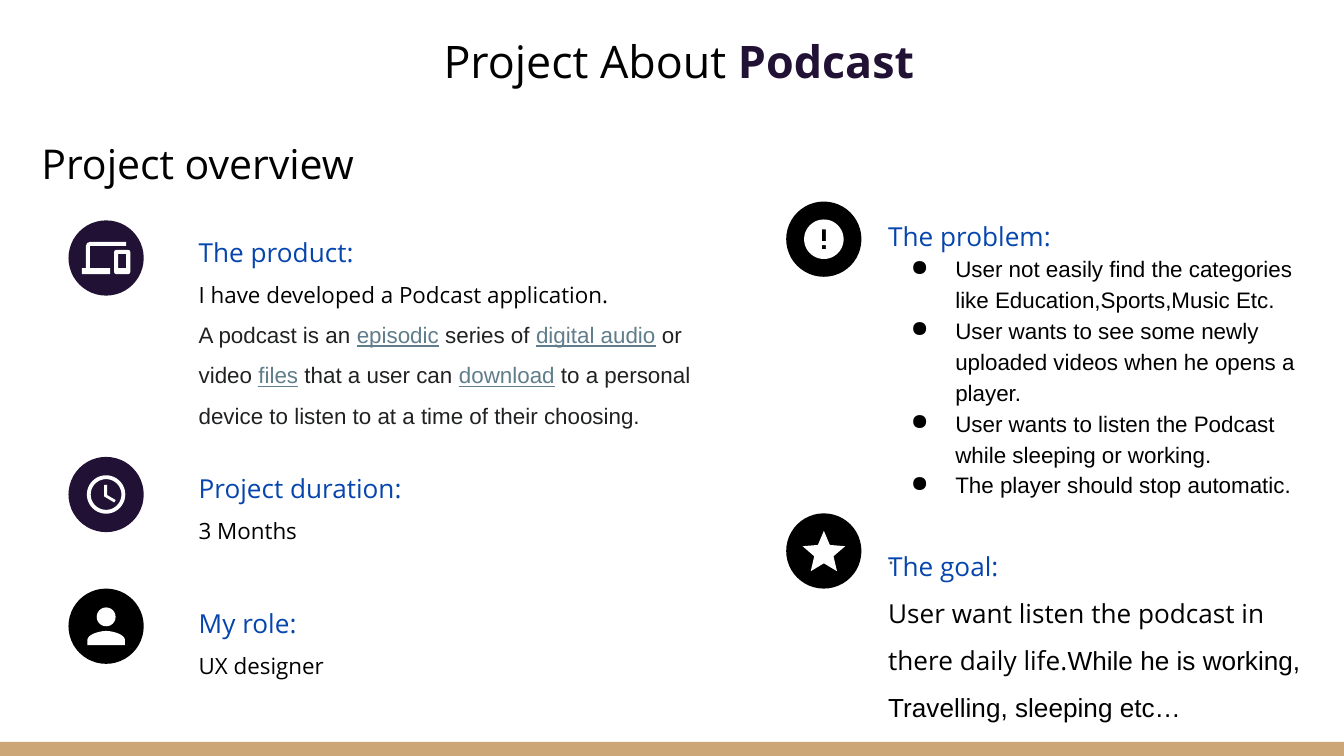
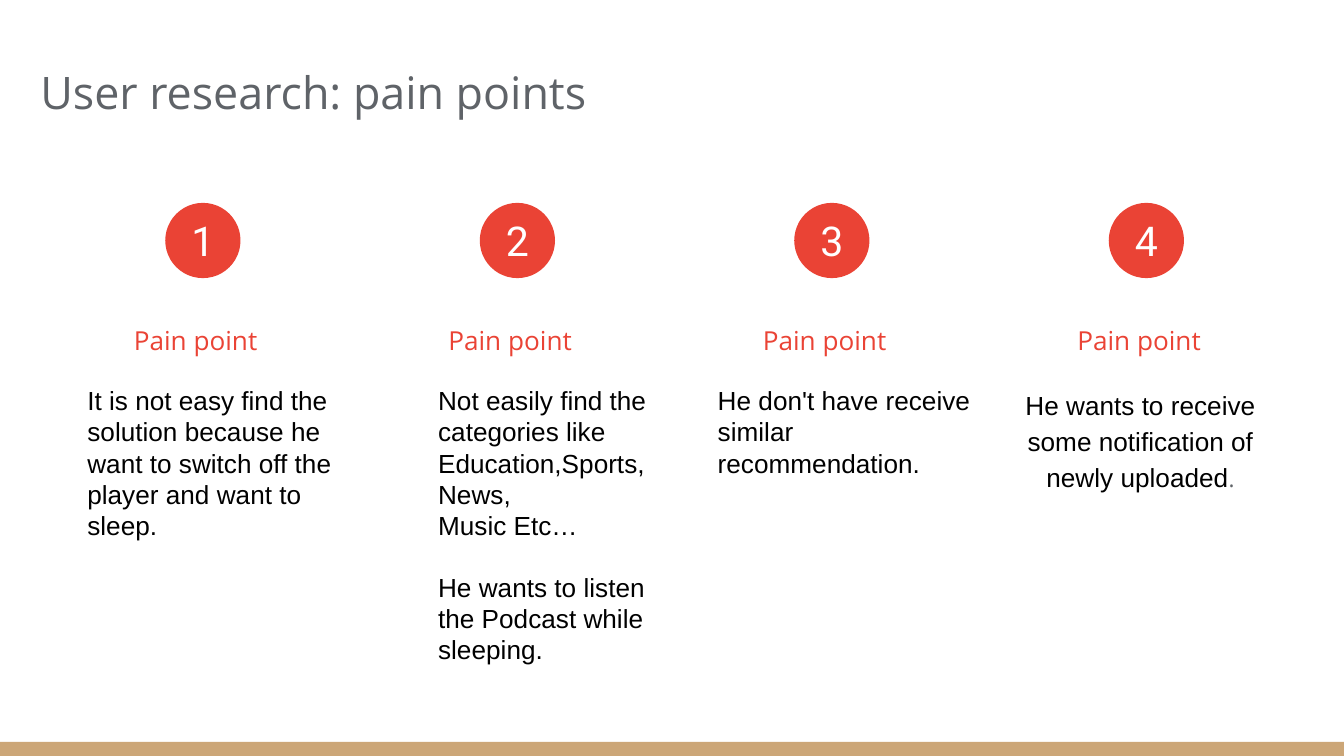
from dataclasses import dataclass
from math import cos, pi, sin

from lxml.etree import SubElement
from pptx import Presentation
from pptx.dml.color import RGBColor
from pptx.enum.shapes import MSO_SHAPE
from pptx.enum.text import MSO_ANCHOR, MSO_AUTO_SIZE, PP_ALIGN
from pptx.oxml.ns import qn
from pptx.util import Emu, Pt

WIDTH, BAND_TOP, INSET = 1000, 552, 10
HEIGHT = WIDTH * 9 / 16
BADGE = 56

BLACK = RGBColor(0x00, 0x00, 0x00)
WHITE = RGBColor(0xFF, 0xFF, 0xFF)
TAN = RGBColor(0xCC, 0xA6, 0x77)
PURPLE = RGBColor(0x21, 0x11, 0x34)
BLUE = RGBColor(0x06, 0x45, 0xAD)
INK = RGBColor(0x20, 0x21, 0x22)
LINK = RGBColor(0x60, 0x7D, 0x8B)
GRAY = RGBColor(0x5F, 0x63, 0x68)
RED = RGBColor(0xEA, 0x43, 0x35)

SANS, BODY, DIGITS = "Open Sans", "Arial", "Roboto"


@dataclass
class Run:
    text: str
    size: int = 12
    font: str = BODY
    color: RGBColor = BLACK
    bold: bool = False
    underline: bool = False


@dataclass
class Para:
    runs: list
    spacing: float = 1
    before: int = 0
    align: PP_ALIGN = PP_ALIGN.LEFT
    indent: int = 0
    bullet: bool = False


def heading(text):
    return Para([Run(text, 14, SANS, BLUE)], 1.5)


def plain(text):
    return Para([Run(text, 12, SANS)], 1.5)


def ink(text):
    return Run(text, color=INK)


def link(text):
    return Run(text, color=LINK, underline=True)


def bullet(text):
    return Para([Run(text)], 1.15, indent=50, bullet=True)


def circle(cx, cy, radius, steps=48):
    return [(cx + radius * cos(2 * pi * i / steps), cy + radius * sin(2 * pi * i / steps))
            for i in range(steps)]


def curve(a, b, c, d, steps=12):
    """Points on a cubic Bezier curve."""
    return [tuple((1 - t) ** 3 * p + 3 * (1 - t) ** 2 * t * q + 3 * (1 - t) * t * t * u + t ** 3 * v
                  for p, q, u, v in zip(a, b, c, d))
            for t in (i / steps for i in range(steps + 1))]


def box(left, top, right, bottom):
    return [(left, top), (right, top), (right, bottom), (left, bottom)]


# Icons on a 24-unit grid: (px per unit, outlines)
DEVICES = (1.5, [
    [(4, 6), (22, 6), (22, 4), (4, 4), (2.6, 4.6), (2, 6), (2, 17), (0, 17), (0, 20),
     (14, 20), (14, 17), (4, 17)],
    [(17, 8), (23, 8), (23.7, 8.3), (24, 9), (24, 19), (23.7, 19.7), (23, 20),
     (17, 20), (16.3, 19.7), (16, 19), (16, 9), (16.3, 8.3)],
    box(18, 10, 22, 17)])
CLOCK = (1.43, [
    circle(12, 12, 10), circle(12, 12, 8),
    [(11, 7), (11, 13), (16.25, 16.15), (17, 14.92), (12.5, 12.25), (12.5, 7)]])
PERSON = (1.75, [
    circle(12, 8, 4),
    curve((12, 14), (9.33, 14), (4, 15.34), (4, 18)) + [(4, 20), (20, 20)]
    + curve((20, 18), (20, 15.34), (14.67, 14), (12, 14))])
ALERT = (1.47, [circle(12, 12, 10), box(11, 7, 13, 13), box(11, 15, 13, 17)])
STAR = (1.58, [
    [(12, 17.27), (18.18, 21), (16.54, 13.97), (22, 9.24), (14.81, 8.63), (12, 2),
     (9.19, 8.63), (2, 9.24), (7.46, 13.97), (5.82, 21)]])

OVERVIEW_TITLE = [Para([Run("Project About ", 24, SANS),
                        Run("Podcast", 24, SANS, PURPLE, bold=True)])]
OVERVIEW_SUBTITLE = [Para([Run("Project overview", 22, SANS)])]

# (badge left, badge top, badge colour, icon, text box, paragraphs)
OVERVIEW = [
    (51, 164, PURPLE, DEVICES, (138, 154, 400, 176), [
        heading("The product:"),
        plain("I have developed a Podcast application."),
        Para([ink("A podcast is an "), link("episodic"), ink(" series of "),
              link("digital audio"), ink(" or video "), link("files"),
              ink(" that a user can "), link("download"),
              ink(" to a personal device to listen to at a time of their choosing.")], 1.5)]),
    (51, 340, PURPLE, CLOCK, (138, 330, 246, 76),
     [heading("Project duration:"), plain("3 Months")]),
    (51, 438, BLACK, PERSON, (138, 430, 131, 76),
     [heading("My role:"), plain("UX designer")]),
    (585, 150, BLACK, ALERT, (651, 142, 337, 226), [
        heading("The problem:"),
        bullet("User not easily find the categories like Education,Sports,Music Etc."),
        bullet("User wants to see some newly uploaded videos when he opens a player."),
        bullet("User wants to listen the Podcast while sleeping or working."),
        bullet("The player should stop automatic."),
        Para([Run(".", 12, SANS, GRAY)], 1.5, before=16)]),
    (585, 382, BLACK, STAR, (651, 388, 328, 150), [
        heading("The goal:"),
        Para([Run("User want listen the podcast in there daily life.", 14, SANS),
              Run("While he is working, Travelling, sleeping etc…", 14)], 1.5)]),
]

PAIN_TITLE = [Para([Run("User research: pain points", 24, SANS, GRAY)])]
PAIN_HEADING = [Para([Run("Pain point", 14, SANS, RED)], 1.5, align=PP_ALIGN.CENTER)]
PAIN_PITCH = 234

# (text box, paragraphs)
PAIN_POINTS = [
    ((65, 276, 205, 162), [
        Para([Run("It is not easy find the solution because he want to switch off "
                  "the player and want to sleep.", 14)])]),
    ((276, 276, 218, 232), [
        Para([Run("Not easily find the categories like Education,Sports,News,", 14)], indent=50),
        Para([Run("Music Etc…", 14)], indent=50),
        Para([Run("He wants to listen the Podcast while sleeping.", 14)], before=16, indent=50)]),
    ((534, 276, 205, 107), [
        Para([Run("He don't have receive similar recommendation.", 14)])]),
    ((751, 276, 205, 98), [
        Para([Run("He wants to receive some notification of newly uploaded", 14),
              Run(".", 12, SANS, GRAY)], 1.15, align=PP_ALIGN.CENTER)]),
]


def px(n):
    return Emu(round(n * 9144))


def place(sp, frame):
    sp.left, sp.top, sp.width, sp.height = map(px, frame)


def paint(sp, color):
    sp.shadow.inherit = False
    sp.fill.solid()
    sp.fill.fore_color.rgb = color
    sp.line.fill.background()


def write(tf, paras, inset=INSET, left=INSET, anchor=MSO_ANCHOR.TOP):
    tf.word_wrap = True
    tf.auto_size = MSO_AUTO_SIZE.NONE
    tf.vertical_anchor = anchor
    tf.margin_left = px(left)
    tf.margin_top = tf.margin_right = tf.margin_bottom = px(inset)
    for i, para in enumerate(paras):
        p = tf.paragraphs[0] if i == 0 else tf.add_paragraph()
        p.alignment = para.align
        p.line_spacing = para.spacing
        p.space_before = Pt(para.before)
        if para.indent:
            indent_paragraph(p, para)
        for item in para.runs:
            r = p.add_run()
            r.text = item.text
            r.font.size = Pt(item.size)
            r.font.name = item.font
            r.font.color.rgb = item.color
            r.font.bold = item.bold
            r.font.underline = item.underline


def indent_paragraph(p, para):
    pPr = p._p.get_or_add_pPr()
    pPr.set("marL", str(px(para.indent)))
    pPr.set("indent", str(px(-33 if para.bullet else 0)))
    if para.bullet:
        color = SubElement(pPr, qn("a:buClr"))
        SubElement(color, qn("a:srgbClr")).set("val", str(BLACK))
        SubElement(pPr, qn("a:buChar")).set("char", "●")


def add_text(slide, frame, paras, **options):
    write(slide.shapes.add_textbox(*map(px, frame)).text_frame, paras, **options)


def add_badge(slide, left, top, color):
    sp = slide.shapes.add_shape(MSO_SHAPE.OVAL, *map(px, (left, top, BADGE, BADGE)))
    paint(sp, color)
    return sp


def add_icon(slide, left, top, icon):
    """Draw an icon centred on the badge at left, top."""
    unit, outlines = icon
    xs, ys = zip(*(point for outline in outlines for point in outline))
    dx = left + BADGE / 2 - unit * (min(xs) + max(xs)) / 2
    dy = top + BADGE / 2 - unit * (min(ys) + max(ys)) / 2
    builder = None
    for outline in outlines:
        points = [(px(dx + unit * x), px(dy + unit * y)) for x, y in outline]
        if builder is None:
            builder = slide.shapes.build_freeform(*points[0])
        else:
            builder.move_to(*points[0])
        builder.add_line_segments(points[1:], close=True)
    paint(builder.convert_to_shape(), WHITE)


def add_slide(prs, title_frame, title):
    slide = prs.slides.add_slide(prs.slide_layouts[5])
    band = slide.shapes.add_shape(
        MSO_SHAPE.RECTANGLE, *map(px, (0, BAND_TOP, WIDTH, HEIGHT - BAND_TOP)))
    paint(band, TAN)
    place(slide.shapes.title, title_frame)
    write(slide.shapes.title.text_frame, title)
    return slide


def build_overview(prs):
    slide = add_slide(prs, (320, 15, 375, 61), OVERVIEW_TITLE)
    add_text(slide, (21, 93, 282, 57), OVERVIEW_SUBTITLE)
    for left, top, color, icon, frame, paras in OVERVIEW:
        add_badge(slide, left, top, color)
        add_icon(slide, left, top, icon)
        add_text(slide, frame, paras)


def build_pain_points(prs):
    slide = add_slide(prs, (20, 38, 550, 61), PAIN_TITLE)
    for i, (frame, paras) in enumerate(PAIN_POINTS):
        shift = i * PAIN_PITCH
        add_text(slide, (48 + shift, 220, 205, 44), PAIN_HEADING, left=0)
        add_text(slide, frame, paras, left=0)
        number = Para([Run(str(i + 1), 22, DIGITS, WHITE)], align=PP_ALIGN.CENTER)
        badge = add_badge(slide, 123 + shift, 151, RED)
        write(badge.text_frame, [number], inset=0, left=0, anchor=MSO_ANCHOR.MIDDLE)


def main():
    prs = Presentation()
    prs.slide_width, prs.slide_height = px(WIDTH), px(HEIGHT)
    build_overview(prs)
    build_pain_points(prs)
    prs.save("out.pptx")


if __name__ == "__main__":
    main()
